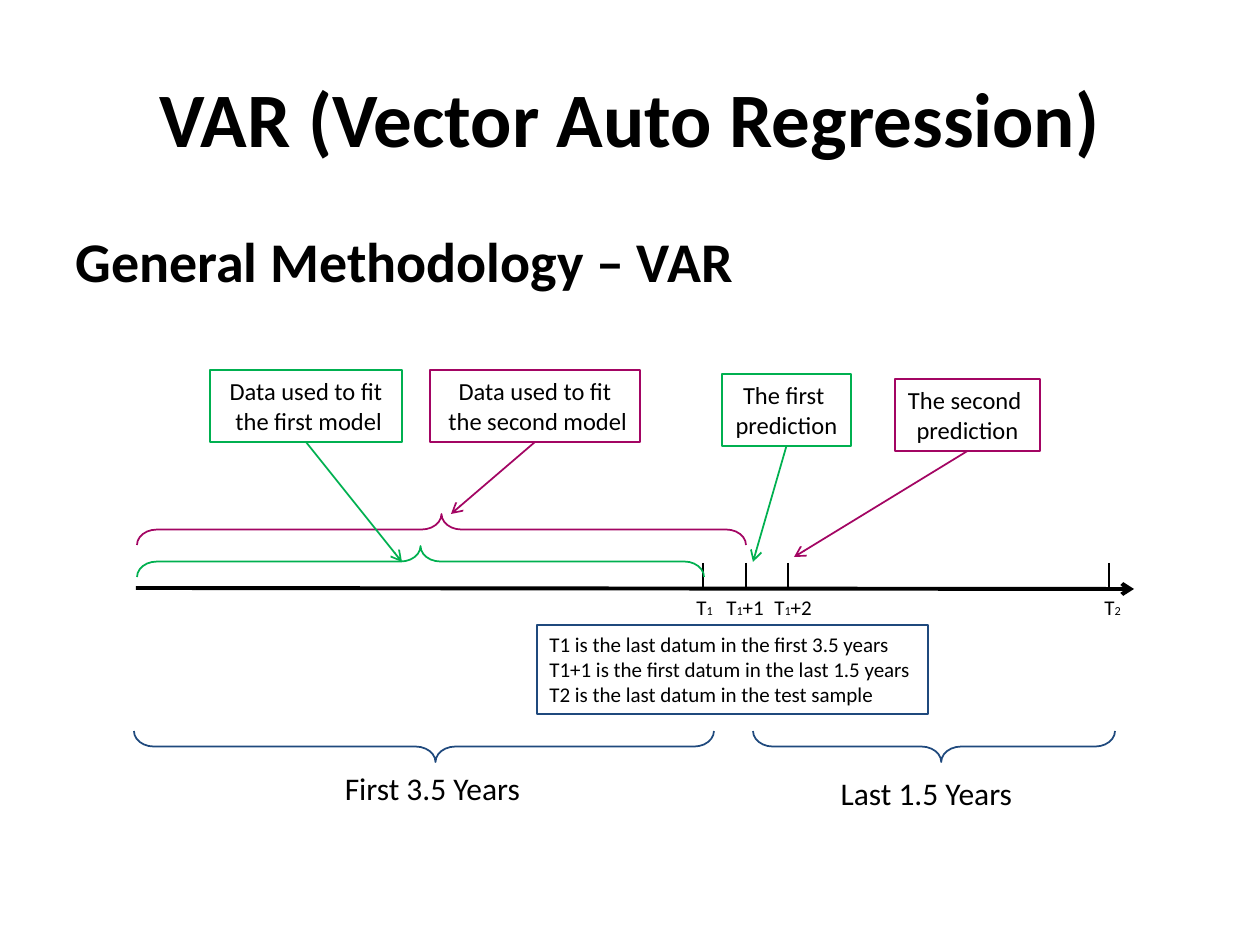
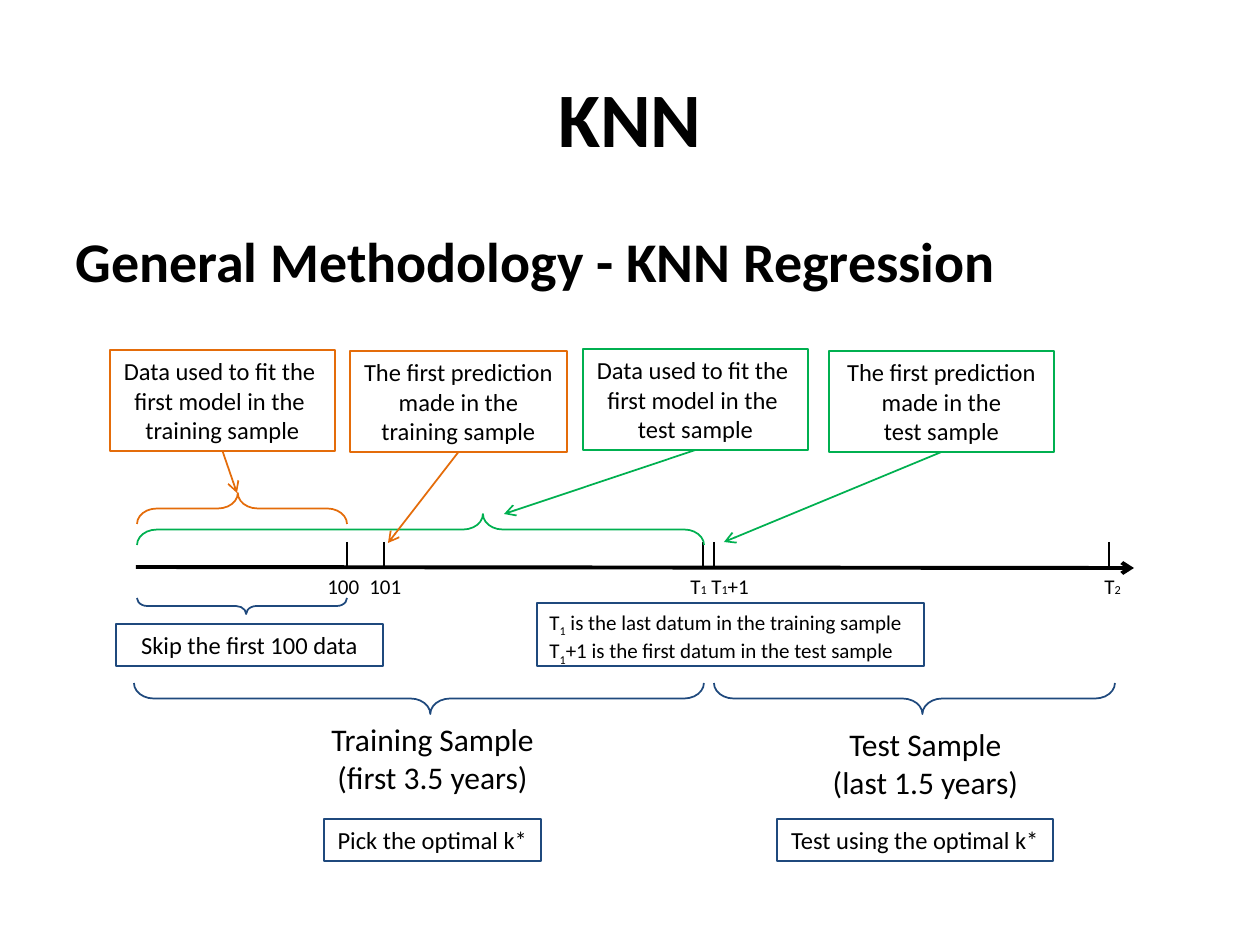
"""Build two timeline slides on the methodology of VAR and KNN regression."""
from lxml import etree
from pptx import Presentation
from pptx import util as u
from pptx.dml.color import RGBColor
from pptx.enum import shapes, text
from pptx.oxml.ns import qn

PX = 914400 / 126
BLACK = RGBColor(0, 0, 0)
BLUE = RGBColor(0x1F, 0x49, 0x7D)
GREEN = RGBColor(0x00, 0xB0, 0x50)
PLUM = RGBColor(0xA3, 0x05, 0x63)
ORANGE = RGBColor(0xE4, 0x6C, 0x0A)
FONT = "Calibri"
UP, DOWN = 90, 270
NOTE, CALL, CAPTION, SUB = 12, 14, 18, 7

pages = [
    {
        "title": "VAR (Vector Auto Regression)",
        "head": "General Methodology – VAR",
        "axis": 588,
        "ticks": [703, 746, 788, 1109],
        "marks": [(684, 47, "T|1"), (714, 63, "T|1|+1"),
                  (762, 63, "T|1|+2"), (1092, 42, "T|2")],
        "braces": [(134, 731, 580, 31, DOWN, 0.52, BLUE),
                   (753, 731, 362, 31, DOWN, 0.52, BLUE),
                   (137, 546, 567, 31, UP, 0.5, GREEN),
                   (137, 514, 609, 31, UP, 0.5, PLUM)],
        "calls": [
            (210, 370, 192, GREEN, (402, 562), "Data used to fit\n the first model"),
            (430, 370, 210, PLUM, (451, 514), "Data used to fit\n the second model"),
            (722, 374, 129, GREEN, (753, 562), "The first \nprediction"),
            (895, 379, 145, PLUM, (794, 557), "The second \nprediction")],
        "boxes": [
            (537, 625, 391, NOTE, BLUE,
             "T1 is the last datum in the first 3.5 years\n"
             "T1+1 is the first datum in the last 1.5 years\n"
             "T2 is the last datum in the test sample"),
            (331, 763, 203, CAPTION, None, "First 3.5 Years"),
            (827, 768, 199, CAPTION, None, "Last 1.5 Years")],
    },
    {
        "title": "KNN",
        "head": "General Methodology - KNN Regression",
        "axis": 567,
        "ticks": [347, 384, 703, 714, 1109],
        "marks": [(315, 63, "100"), (357, 63, "101"), (678, 47, "T|1"),
                  (699, 63, "T|1|+1"), (1092, 42, "T|2")],
        "braces": [(134, 683, 570, 31, DOWN, 0.52, BLUE),
                   (714, 683, 401, 31, DOWN, 0.52, BLUE),
                   (137, 598, 210, 16, DOWN, 0.52, BLUE),
                   (137, 493, 210, 31, UP, 0.52, ORANGE),
                   (137, 514, 567, 31, UP, 0.39, GREEN)],
        "calls": [
            (110, 350, 225, ORANGE, (237, 493),
             "Data used to fit the \nfirst model in the \ntraining sample"),
            (350, 351, 217, ORANGE, (388, 543),
             "The first prediction\n made in the \ntraining sample"),
            (583, 349, 225, GREEN, (504, 514),
             "Data used to fit the \nfirst model in the \ntest sample"),
            (829, 351, 225, GREEN, (724, 542),
             "The first prediction\n made in the \ntest sample")],
        "boxes": [
            (537, 603, 387, NOTE, BLUE,
             "T|1| is the last datum in the training sample\n"
             "T|1|+1 is the first datum in the test sample"),
            (116, 624, 267, CALL, BLUE, "Skip the first 100 data"),
            (324, 819, 217, CALL, BLUE, "Pick the optimal k*"),
            (777, 819, 276, CALL, BLUE, "Test using the optimal k*"),
            (317, 714, 231, CAPTION, None, "Training Sample\n(first 3.5 years)"),
            (819, 719, 213, CAPTION, None, "Test Sample\n(last 1.5 years)")],
    },
]


def line(x1, y1, x2, y2, color, width=1, arrow=True):
    """Draw a straight line, with an arrowhead at its end if asked."""
    ends = [round(n * PX) for n in (x1, y1, x2, y2)]
    rule = slide.shapes.add_connector(shapes.MSO_CONNECTOR.STRAIGHT, *ends)
    rule.line.color.rgb = color
    rule.line.width = u.Pt(width)
    etree.SubElement(rule._element.spPr, qn("a:effectLst"))
    if arrow:
        etree.SubElement(rule.line._get_or_add_ln(), qn("a:tailEnd"), type="arrow")


def box(x, y, wide, size, color, words):
    """Draw text, framed if it has a color, and return the bottom edge."""
    rows = words.split("\n")
    high = round(12 + 2.13 * size * len(rows))
    area = slide.shapes.add_textbox(*(round(n * PX) for n in (x, y, wide, high)))
    if color is not None:
        area.line.color.rgb = color
        area.line.width = u.Pt(1)
    frame = area.text_frame
    frame.word_wrap = False
    for i, row in enumerate(rows):
        para = frame.add_paragraph() if i else frame.paragraphs[0]
        para.alignment = text.PP_ALIGN.LEFT if size == NOTE else text.PP_ALIGN.CENTER
        para.font.name = FONT
        para.font.size = u.Pt(size)
        para.font.color.rgb = BLACK
        for j, part in enumerate(row.split("|")):
            run = para.add_run()
            run.text = part
            run.font.name = FONT
            run.font.size = u.Pt(size)
            if j % 2 and color is None:
                run.font.size = u.Pt(SUB)
            elif j % 2:
                run.font._element.set("baseline", "-25000")
    return y + high


deck = Presentation()
deck.slide_width = round(1260 * PX)
deck.slide_height = round(945 * PX)

for page in pages:
    slide = deck.slides.add_slide(deck.slide_layouts[1])
    title, body = slide.placeholders
    for hold, words, size, top, high in ((title, page["title"], 44, 38, 157),
                                         (body, page["head"], 32, 220, 624)):
        hold.left, hold.top = round(63 * PX), round(top * PX)
        hold.width, hold.height = round(1134 * PX), round(high * PX)
        hold.text_frame.text = words
        font = hold.text_frame.paragraphs[0].font
        font.name, font.size, font.bold = FONT, u.Pt(size), True
        font.color.rgb = BLACK
    props = body.text_frame.paragraphs[0]._p.get_or_add_pPr()
    props.set("marL", "0")
    props.set("indent", "0")
    props.insert(0, props.makeelement(qn("a:buNone")))

    axis = page["axis"]
    line(136, axis, 1134, axis + 1, BLACK, 2.25)
    for x in page["ticks"]:
        line(x, axis - 25, x, axis, BLACK, arrow=False)
    for x, wide, words in page["marks"]:
        box(x, axis, wide, NOTE, None, words)

    for x, y, span, deep, turn, tip, color in page["braces"]:
        left, top = x + (span - deep) / 2, y + (deep - span) / 2
        brace = slide.shapes.add_shape(
            shapes.MSO_SHAPE.LEFT_BRACE,
            *(round(n * PX) for n in (left, top, deep, span)))
        brace.rotation = turn
        brace.adjustments[0] = 0.64
        brace.adjustments[1] = tip
        brace.fill.background()
        brace.line.color.rgb = color
        brace.line.width = u.Pt(1)
        brace.shadow.inherit = False

    for x, y, wide, color, goal, words in page["calls"]:
        base = box(x, y, wide, CALL, color, words)
        line(x + wide / 2, base, *goal, color)
    for item in page["boxes"]:
        box(*item)

deck.save("out.pptx")
